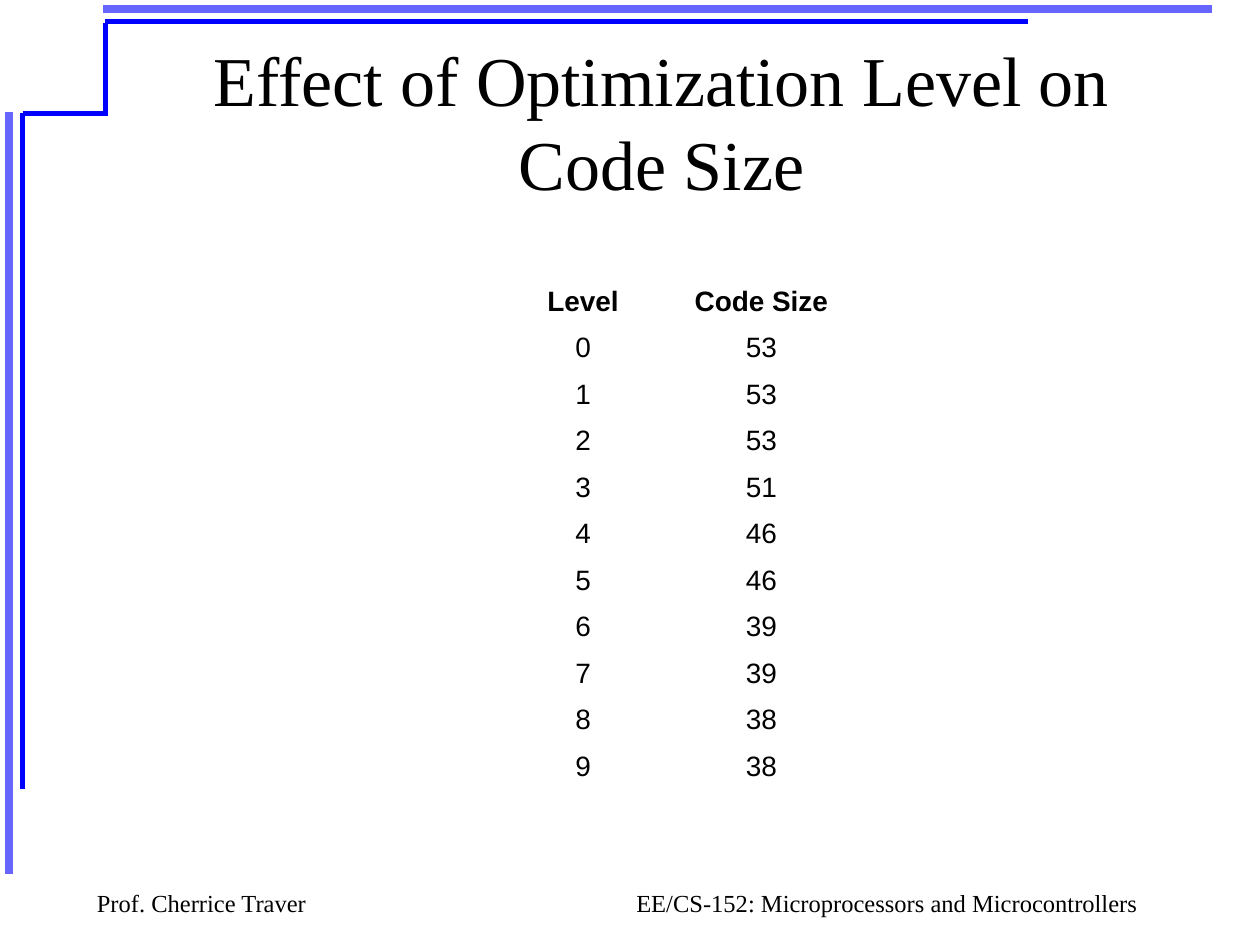
import pptx
import pptx.dml.color
import pptx.enum.shapes
import pptx.enum.text
import pptx.util
from lxml import etree
from pptx.util import Inches

RGBColor = pptx.dml.color.RGBColor
ALIGN = pptx.enum.text.PP_ALIGN
ANCHOR = pptx.enum.text.MSO_ANCHOR

BLACK = RGBColor(0x00, 0x00, 0x00)
BLUE = RGBColor(0x00, 0x00, 0xFF)
LIGHT_BLUE = RGBColor(0x66, 0x66, 0xFF)
SERIF = "Times New Roman"
SANS = "Arial"
A_NS = "http://schemas.openxmlformats.org/drawingml/2006/main"


def write(tf, text, size=14, font=SERIF, bold=False, align=ALIGN.LEFT, hanging=0):
    """Put one formatted paragraph in a text frame."""
    p = tf.paragraphs[0]
    p.alignment = align
    if hanging:
        pPr = p._p.get_or_add_pPr()
        pPr.set("marL", str(Inches(hanging)))
        pPr.set("indent", str(Inches(-hanging)))
    r = p.add_run()
    r.text = text
    r.font.size = pptx.util.Pt(size)
    r.font.name = font
    r.font.bold = bold
    r.font.color.rgb = BLACK


class SlideBuilder:
    def __init__(self, prs):
        self.s = prs.slides.add_slide(prs.slide_layouts[6])

    def line(self, x1, y1, x2, y2, color, width):
        sp = self.s.shapes.add_connector(
            pptx.enum.shapes.MSO_CONNECTOR.STRAIGHT,
            Inches(x1), Inches(y1), Inches(x2), Inches(y2))
        sp.line.color.rgb = color
        sp.line.width = pptx.util.Pt(width)
        etree.SubElement(sp._element.spPr, f"{{{A_NS}}}effectLst")

    def text(self, x, y, w, h, text, anchor=ANCHOR.TOP, **style):
        sp = self.s.shapes.add_textbox(Inches(x), Inches(y), Inches(w), Inches(h))
        tf = sp.text_frame
        tf.word_wrap = True
        tf.vertical_anchor = anchor
        write(tf, text, **style)

    def table(self, x, y, w, h, rows):
        table = self.s.shapes.add_table(
            len(rows), len(rows[0]), Inches(x), Inches(y), Inches(w), Inches(h)).table
        table.first_row = table.horz_banding = False
        for i, row in enumerate(rows):
            for j, value in enumerate(row):
                cell = table.cell(i, j)
                cell.fill.background()
                cell.vertical_anchor = ANCHOR.BOTTOM
                write(cell.text_frame, str(value), size=16, font=SANS,
                      bold=i == 0, align=ALIGN.CENTER, hanging=0.38)


def main():
    prs = pptx.Presentation()
    prs.slide_width, prs.slide_height = Inches(10), Inches(7.5)
    slide = SlideBuilder(prs)

    # Outer frame lines
    for ends in [(0.07, 0.89, 0.07, 6.94), (0.82, 0.07, 9.62, 0.07)]:
        slide.line(*ends, LIGHT_BLUE, 4.5)

    # Inner frame lines with the stepped corner
    for ends in [(0.18, 0.9, 0.18, 6.26), (0.83, 0.17, 8.16, 0.17),
                 (0.18, 0.9, 0.85, 0.9), (0.84, 0.92, 0.84, 0.18)]:
        slide.line(*ends, BLUE, 3)

    # Footer
    slide.text(0.67, 7, 3.08, 0.33, "Prof. Cherrice Traver")
    slide.text(4.83, 7, 4.42, 0.33, "EE/CS-152: Microprocessors and Microcontrollers",
               align=ALIGN.CENTER)

    # Title
    slide.text(1, 0.33, 8.5, 1.25, "Effect of Optimization Level on Code Size",
               anchor=ANCHOR.MIDDLE, size=40, align=ALIGN.CENTER)

    # Code size for each optimization level
    code_sizes = [53, 53, 53, 51, 46, 46, 39, 39, 38, 38]
    slide.table(3.92, 2.2, 2.83, 4.06,
                [("Level", "Code Size"), *enumerate(code_sizes)])

    prs.save("out.pptx")


if __name__ == "__main__":
    main()
